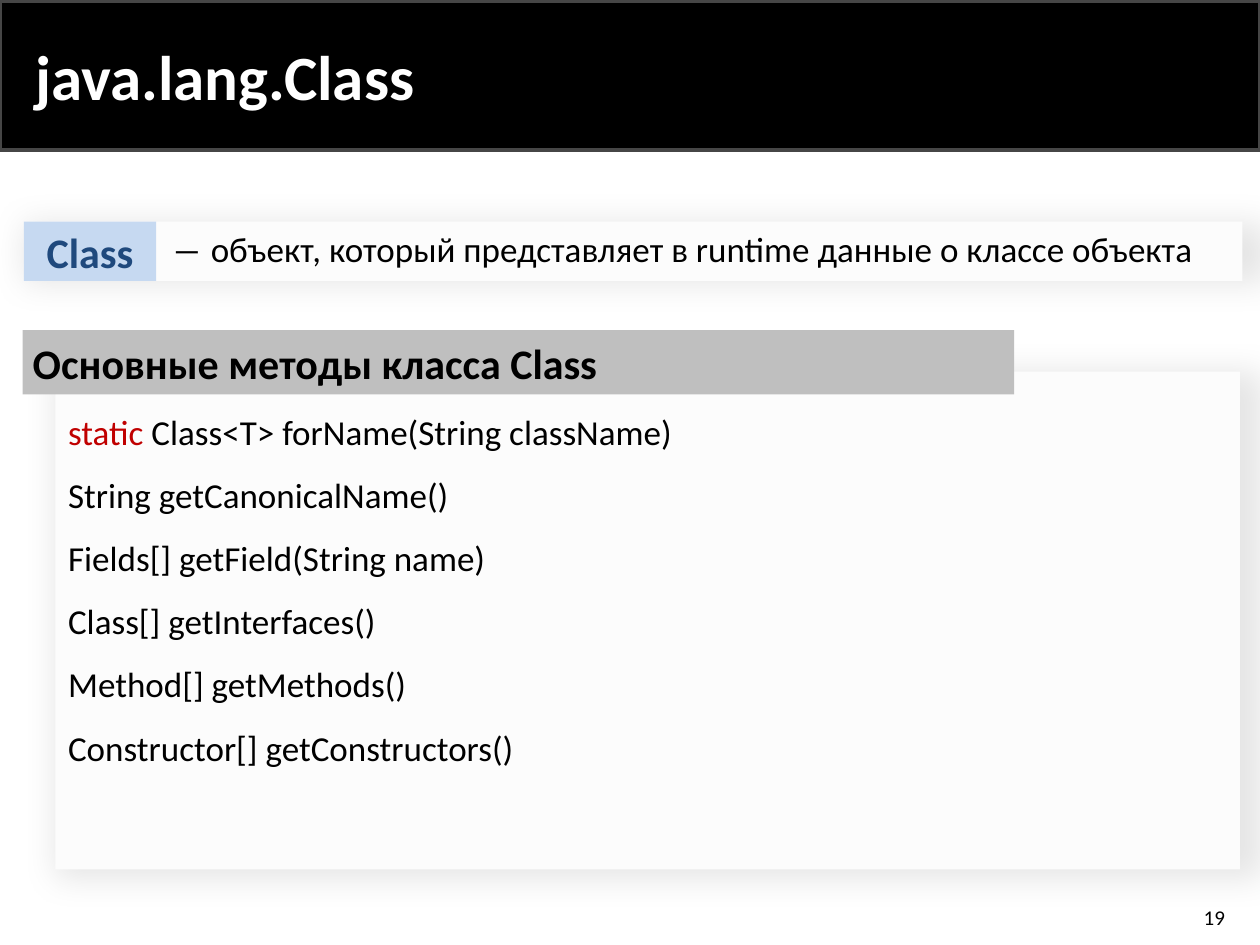
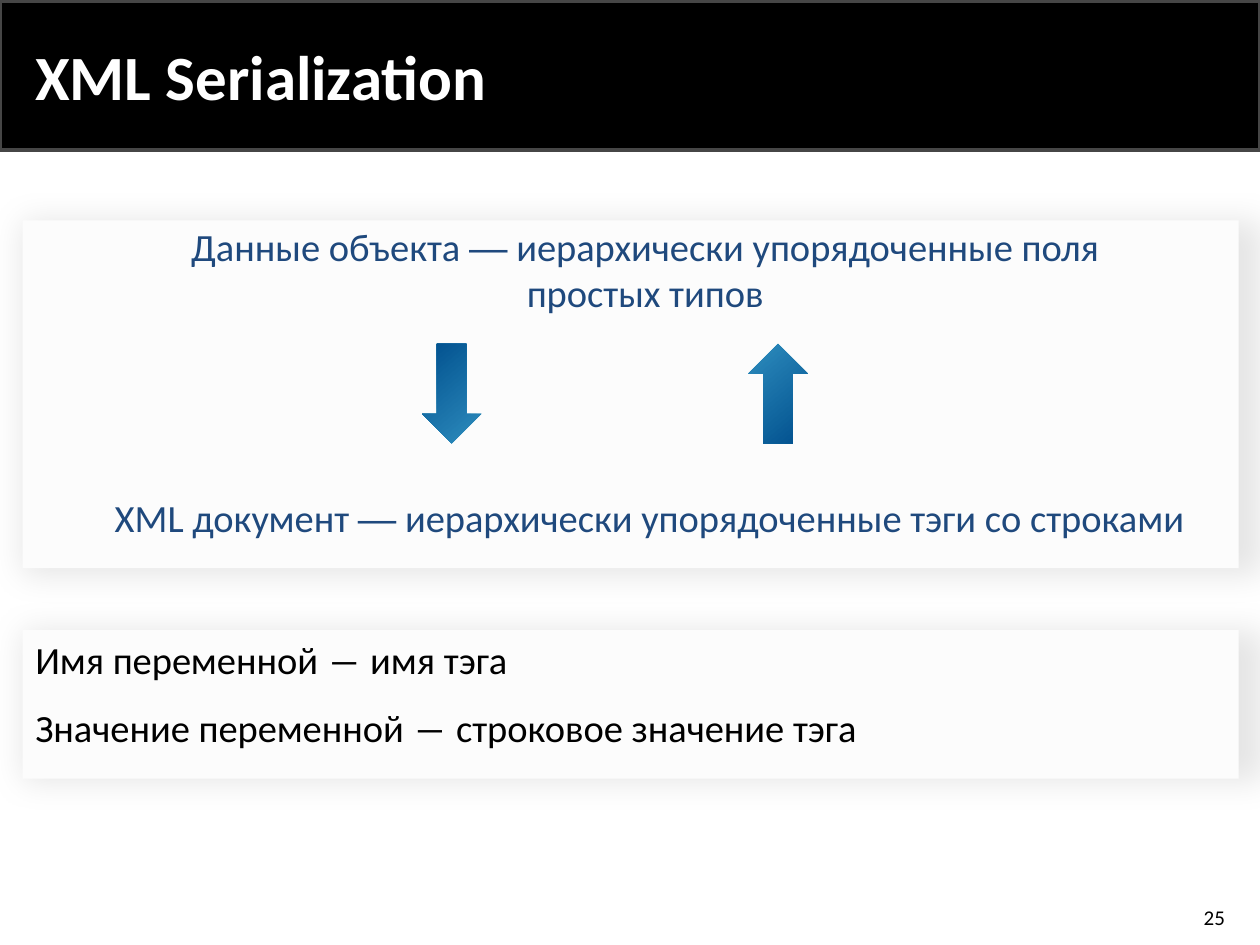
from lxml import etree
from pptx import Presentation, util as u
from pptx.dml.color import RGBColor
from pptx.enum import shapes as sh, text as tx
from pptx.oxml import parse_xml

HUES = {
    "black": "000000", "white": "FFFFFF", "edge": "464646", "panel": "FCFCFC",
    "gray": "BFBFBF", "red": "C00000", "navy": "1F497D", "sky": "C6D9F1",
    "light": "2E8DBE", "deep": "004F8D",
}
NS = "http://schemas.openxmlformats.org/drawingml/2006/main"
GLOW = (f'<a:effectLst xmlns:a="{NS}"><a:outerShdw blurRad="{u.Pt(19)}" dist="0" '
        'sx="102000" sy="102000" algn="tl" rotWithShape="0">'
        f'<a:srgbClr val="{HUES["black"]}"><a:alpha val="10000"/></a:srgbClr>'
        '</a:outerShdw></a:effectLst>')
RECT, DOWN = sh.MSO_SHAPE.RECTANGLE, sh.MSO_SHAPE.DOWN_ARROW
LEFT, MID, RIGHT = tx.PP_ALIGN.LEFT, tx.PP_ALIGN.CENTER, tx.PP_ALIGN.RIGHT
TOP, HALF = tx.MSO_ANCHOR.TOP, tx.MSO_ANCHOR.MIDDLE

deck = Presentation()
deck.slide_width, deck.slide_height = u.Inches(10), u.Inches(7.5)
COL, ROW = deck.slide_width / 100, deck.slide_height / 100


def place(shape, area, fill=None, glow=False):
    """Put the shape on top at an area given in percent of the slide."""
    x, y, wide, high = area
    shape.left, shape.width = round(x * COL), round(wide * COL)
    shape.top, shape.height = round(y * ROW), round(high * ROW)
    shape.element.getparent().append(shape.element)
    if fill:
        shape.shadow.inherit = False
        shape.fill.solid()
        shape.fill.fore_color.rgb = RGBColor.from_string(HUES[fill])
        shape.line.fill.background()
    if glow:
        props = shape.element.spPr
        props.replace(props.find(f"{{{NS}}}effectLst"), parse_xml(GLOW))
    return shape


def write(shape, *lines, size=20, hue="black", bold=False, align=LEFT,
          anchor=TOP, before=0, after=0, inset=(0.1, 0.05)):
    """Fill in paragraphs; a line is a string or a list of (text, format) runs."""
    frame = shape.text_frame
    frame.word_wrap, frame.auto_size = True, tx.MSO_AUTO_SIZE.NONE
    frame.vertical_anchor = anchor
    frame.margin_left = frame.margin_right = u.Inches(inset[0])
    frame.margin_top = frame.margin_bottom = u.Inches(inset[1])
    for num, line in enumerate(lines):
        para = frame.add_paragraph() if num else frame.paragraphs[0]
        para.alignment = align
        para.space_before, para.space_after = u.Pt(before), u.Pt(after)
        if shape.is_placeholder:
            props = para._p.get_or_add_pPr()
            props.set("marL", "0")
            props.set("indent", "0")
            etree.SubElement(props, f"{{{NS}}}buNone")
        for words, form in [(line, {})] if isinstance(line, str) else line:
            if words == "\n":
                para.add_line_break()
                continue
            run = para.add_run()
            run.text = words
            font = run.font
            font.name, font.size = form.get("face", "Calibri"), u.Pt(size)
            font.bold = bold
            font.color.rgb = RGBColor.from_string(HUES[form.get("hue", hue)])


# Shared frame: band, title and page number
pages = []
for name, page in [("java.lang.Class", "19"), ("XML Serialization", "25")]:
    slide = deck.slides.add_slide(deck.slide_layouts[1])
    pages.append(slide)
    if len(pages) == 1:
        band = place(slide.shapes.add_shape(RECT, 0, 0, 0, 0),
                     (0, 0.13, 100, 15.73), "black")
        band.line.color.rgb = RGBColor.from_string(HUES["edge"])
        band.line.width = u.Pt(2)
        deck.slide_master.shapes.element.insert(2, band.element)
    write(place(slide.shapes.title, (1.8, 1.33, 81.5, 13.33)), name,
          size=36, hue="white", bold=True, anchor=HALF)
    write(place(slide.shapes.add_textbox(0, 0, 0, 0), (75.4, 95.07, 22.8, 4)),
          page, size=12, align=RIGHT, anchor=HALF)
first, last = pages

# Class: definition and main methods
for area, fill, glow in [
    ((4.4, 39.33, 94, 52.67), "panel", True),
    ((1.9, 23.47, 96.7, 6.27), "panel", True),
]:
    place(first.shapes.add_shape(RECT, 0, 0, 0, 0), area, fill, glow)
for words, area, fill, hue, align in [
    ("Основные методы класса Class", (1.8, 34.93, 78.7, 6.8), "gray", "black", LEFT),
    ("Class", (1.9, 23.47, 10.5, 6.27), "sky", "navy", MID),
]:
    label = place(first.shapes.add_shape(RECT, 0, 0, 0, 0), area, fill)
    write(label, words, size=24, hue=hue, bold=True, align=align,
          anchor=HALF, after=6, inset=(0.08, 0.04))
write(place(first.shapes.add_textbox(0, 0, 0, 0), (12.6, 23.47, 85.9, 5.87)),
      "― объект, который представляет в runtime данные о классе объекта")
write(place(first.placeholders[1], (4.4, 42.8, 60.6, 39.47)),
      [("static", {"hue": "red"}), (" Class<T> forName(String className)", {})],
      "String getCanonicalName()",
      "Fields[] getField(String name)",
      "Class[] getInterfaces()",
      "Method[] getMethods()",
      "Constructor[] getConstructors()",
      before=6, after=6)

# XML: object data to document and back
for top, high in [(66.67, 15.73), (23.33, 36.8)]:
    place(last.shapes.add_shape(RECT, 0, 0, 0, 0), (1.8, top, 96.5, high),
          "panel", True)
dash = ("―", {"face": "Arial"})
for top, line in [
    (23.73, [("Данные объекта ", {}), dash,
             (" иерархически упорядоченные поля ", {}), ("\n", {}),
             ("простых типов ", {})]),
    (50, [("XML документ ", {}), dash,
          (" иерархически упорядоченные тэги со строками", {})]),
]:
    write(place(last.shapes.add_textbox(0, 0, 0, 0), (5.1, top, 92.9, 9.47)),
          line, size=22, hue="navy", align=MID, anchor=HALF)
for left, turn in [(33.5, 0), (59.4, 180)]:
    arrow = place(last.shapes.add_shape(DOWN, 0, 0, 0, 0),
                  (left, 36.4, 4.7, 10.53), "deep")
    arrow.rotation = turn
    arrow.fill.gradient()
    arrow.fill.gradient_angle = 130
    for stop, hue in zip(arrow.fill.gradient_stops, ("light", "deep")):
        stop.color.rgb = RGBColor.from_string(HUES[hue])
write(place(last.placeholders[1], (1.8, 66.67, 68.2, 13.47)),
      "Имя переменной ― имя тэга",
      "Значение переменной ― строковое значение тэга",
      size=22, before=6, after=6)

deck.save("out.pptx")
